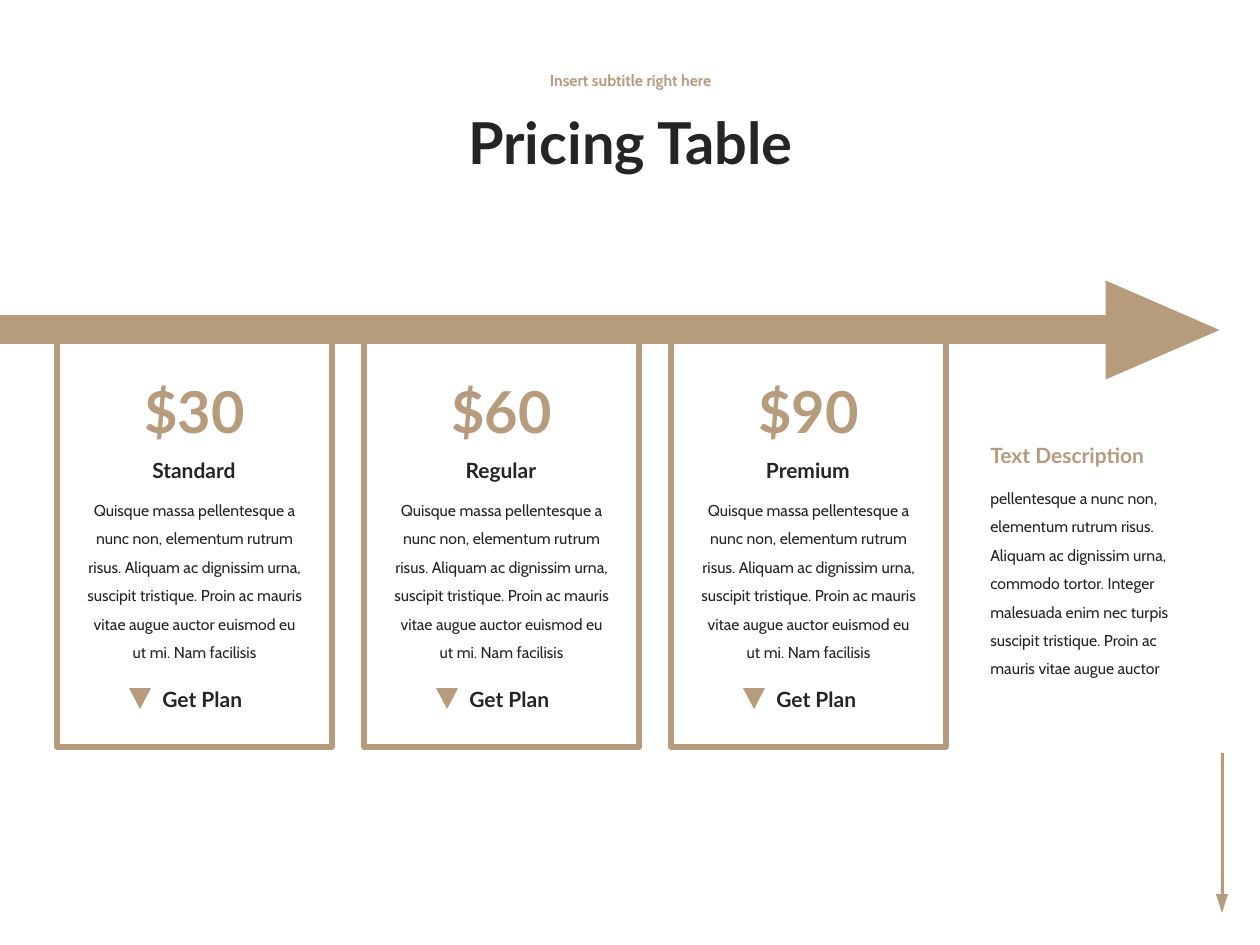
from dataclasses import dataclass

from pptx import Presentation
from pptx.dml.color import RGBColor
from pptx.enum.shapes import MSO_SHAPE as Shape
from pptx.enum.text import MSO_ANCHOR as Anchor, MSO_AUTO_SIZE as AutoSize, PP_ALIGN as Align
from pptx.util import Emu, Inches, Pt

PX_PER_INCH = 126
TAN = RGBColor(0xB6, 0x9B, 0x7D)
INK = RGBColor(0x24, 0x25, 0x27)
WHITE = RGBColor(0xFF, 0xFF, 0xFF)

CARD_LEFT, CARD_STEP, CARD_TOP, CARD_WIDTH, CARD_HEIGHT = 57, 307, 326, 275, 421
PLAN_TEXT = (
    "Quisque massa pellentesque a nunc non, elementum rutrum risus. "
    "Aliquam ac dignissim urna, suscipit tristique. Proin ac mauris vitae "
    "augue auctor euismod eu ut mi. Nam facilisis"
)
DESCRIPTION = (
    "pellentesque a nunc non, elementum rutrum risus. Aliquam ac dignissim urna, "
    "commodo tortor. Integer malesuada enim nec turpis suscipit tristique. "
    "Proin ac mauris vitae augue auctor"
)


@dataclass(frozen=True)
class Box:
    left: int
    top: int
    width: int
    height: int

    def emu(self) -> list[Emu]:
        sides = (self.left, self.top, self.width, self.height)
        return [Emu(round(side * Inches(1) / PX_PER_INCH)) for side in sides]


@dataclass(frozen=True)
class Style:
    font: str
    size: int
    color: RGBColor
    bold: bool = True
    align: Align = Align.CENTER
    spacing: float = 1.0
    anchor: Anchor = Anchor.TOP
    fit: AutoSize = AutoSize.SHAPE_TO_FIT_TEXT


@dataclass(frozen=True)
class Plan:
    price: str
    name: str


TITLE = Style("Lato", 33, INK, spacing=0.9, anchor=Anchor.MIDDLE, fit=AutoSize.NONE)
SUBTITLE = Style("Cabin", 9, TAN, spacing=0.9, anchor=Anchor.MIDDLE, fit=AutoSize.NONE)
PRICE = Style("Lato", 33, TAN)
PLAN_NAME = Style("Lato", 12, INK)
PLAN_BODY = Style("Cabin", 9, INK, bold=False, spacing=1.5)
GET_PLAN = Style("Lato", 12, INK, align=Align.LEFT)
SIDE_HEADING = Style("Lato", 12, TAN, align=Align.LEFT)
SIDE_BODY = Style("Cabin", 9, INK, bold=False, align=Align.LEFT, spacing=1.5)

PLANS = [Plan("$30", "Standard"), Plan("$60", "Regular"), Plan("$90", "Premium")]


def set_all(target, values: dict) -> None:
    for attribute, value in values.items():
        setattr(target, attribute, value)


def add_text(slide, box: Box, text: str, style: Style) -> None:
    frame = slide.shapes.add_textbox(*box.emu()).text_frame
    set_all(frame, {"word_wrap": True, "auto_size": style.fit, "vertical_anchor": style.anchor})
    paragraph = frame.paragraphs[0]
    set_all(paragraph, {"alignment": style.align, "line_spacing": style.spacing})
    run = paragraph.add_run()
    run.text = text
    set_all(run.font, {"name": style.font, "size": Pt(style.size), "bold": style.bold})
    run.font.color.rgb = style.color


def add_solid(slide, kind: Shape, box: Box, rotation: int = 0, fill: RGBColor = TAN):
    """Add a filled shape without line or shadow; rotation turns box about its centre."""
    solid = slide.shapes.add_shape(kind, *box.emu())
    solid.rotation = rotation
    solid.shadow.inherit = False
    solid.fill.solid()
    solid.fill.fore_color.rgb = fill
    solid.line.fill.background()
    return solid


def add_card_frame(slide, left: int) -> None:
    box = Box(left, CARD_TOP, CARD_WIDTH, CARD_HEIGHT)
    frame = add_solid(slide, Shape.RECTANGLE, box, fill=WHITE)
    frame.line.color.rgb = TAN
    frame.line.width = Pt(3)


def add_plan(slide, left: int, plan: Plan) -> None:
    add_text(slide, Box(left + 56, 370, 163, 82), plan.price, PRICE)
    add_text(slide, Box(left + 48, 451, 178, 38), plan.name, PLAN_NAME)
    add_text(slide, Box(left + 17, 485, 241, 212), PLAN_TEXT, PLAN_BODY)
    add_text(slide, Box(left + 93, 680, 121, 38), "Get Plan", GET_PLAN)
    add_solid(slide, Shape.ISOSCELES_TRIANGLE, Box(left + 72, 688, 22, 21), rotation=180)


def main() -> None:
    deck = Presentation()
    set_all(deck, {"slide_width": Inches(10), "slide_height": Inches(7.5)})
    slide = deck.slides.add_slide(deck.slide_layouts[6])

    # Thin down arrow in the corner
    add_solid(slide, Shape.RECTANGLE, Box(1221, 753, 3, 141))
    add_solid(slide, Shape.ISOSCELES_TRIANGLE, Box(1216, 894, 12, 19), rotation=180)

    card_lefts = [CARD_LEFT + CARD_STEP * index for index in range(len(PLANS))]
    for left in card_lefts:
        add_card_frame(slide, left)

    add_text(slide, Box(276, 81, 709, 130), "Pricing Table", TITLE)
    add_text(slide, Box(276, 57, 709, 48), "Insert subtitle right here", SUBTITLE)

    # Wide arrow across the card tops
    add_solid(slide, Shape.RECTANGLE, Box(-26, 315, 1133, 29))
    add_solid(slide, Shape.ISOSCELES_TRIANGLE, Box(1113, 273, 99, 114), rotation=90)

    add_text(slide, Box(978, 473, 223, 241), DESCRIPTION, SIDE_BODY)
    add_text(slide, Box(978, 436, 223, 38), "Text Description", SIDE_HEADING)

    for left, plan in zip(card_lefts, PLANS):
        add_plan(slide, left, plan)

    deck.save("out.pptx")


if __name__ == "__main__":
    main()
